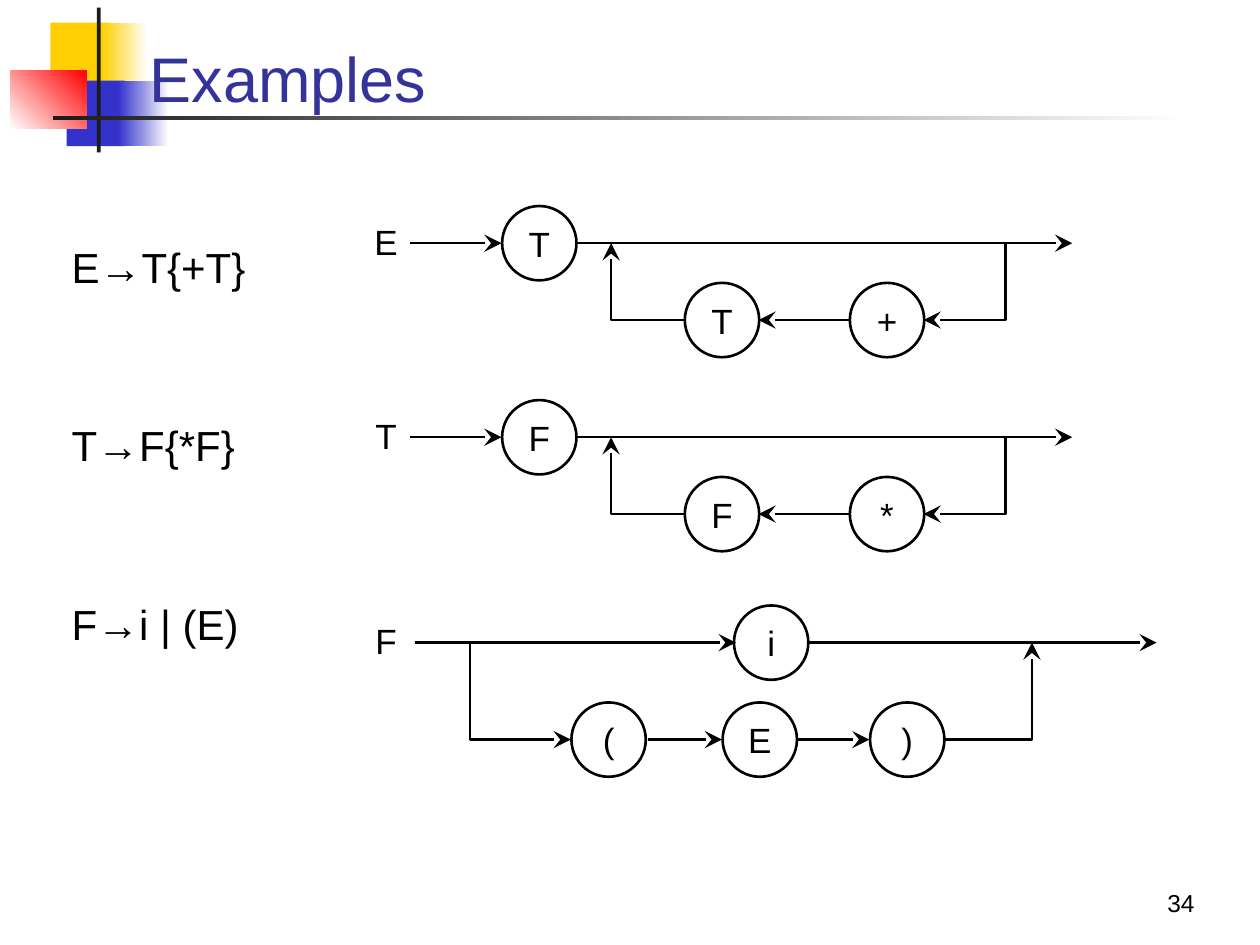
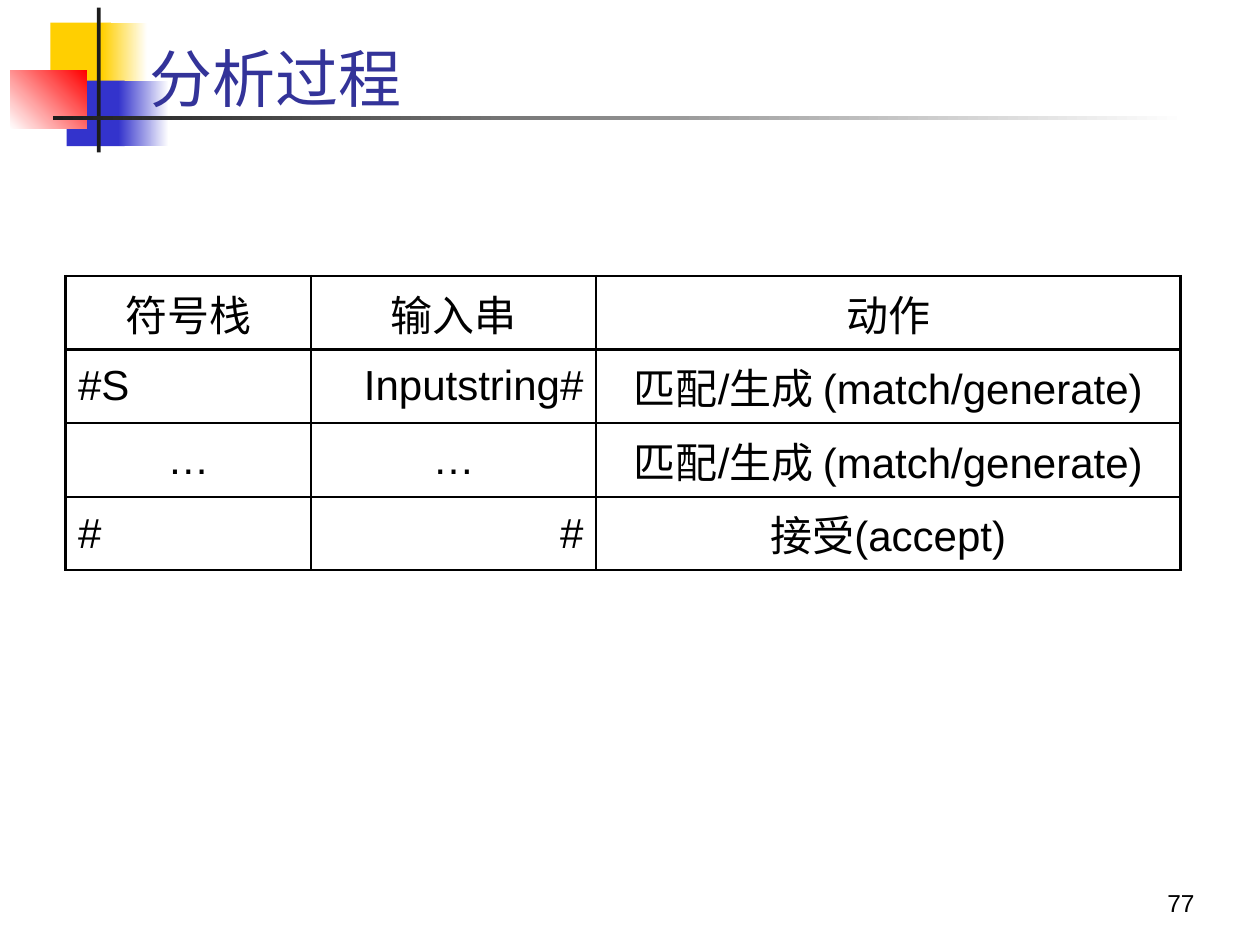
from lxml import etree
from pptx import Presentation
from pptx.dml.color import RGBColor
from pptx.enum.shapes import MSO_CONNECTOR, MSO_SHAPE
from pptx.enum.text import MSO_ANCHOR, MSO_AUTO_SIZE, PP_ALIGN
from pptx.oxml.ns import qn
from pptx.util import Inches, Pt

LEFT, CENTER, RIGHT = PP_ALIGN.LEFT, PP_ALIGN.CENTER, PP_ALIGN.RIGHT
TOP, MIDDLE, BOTTOM = MSO_ANCHOR.TOP, MSO_ANCHOR.MIDDLE, MSO_ANCHOR.BOTTOM
RECT, OVAL = MSO_SHAPE.RECTANGLE, MSO_SHAPE.OVAL
STRAIGHT = MSO_CONNECTOR.STRAIGHT

FONT = "Arial"
BLACK, WHITE, INK = "000000", "FFFFFF", "1C1C1C"
YELLOW, BLUE, RED, TITLE_BLUE = "FFCF01", "3333CC", "FF0000", "333399"
LINE_WIDTH = 1.5
NODE_SIZE = 0.59
TITLE_ONLY = 5

# Corner decoration: box, colours (two make a gradient), gradient angle
DECORATION = [
    ((0.4, 0.18, 0.48, 0.52), [YELLOW], 0),
    ((0.81, 0.18, 0.36, 0.52), [YELLOW, WHITE], 0),
    ((0.53, 0.64, 0.46, 0.52), [BLUE], 0),
    ((0.94, 0.64, 0.4, 0.52), [BLUE, WHITE], 0),
    ((0.08, 0.56, 0.61, 0.46), [WHITE, RED], 45),
    ((0.77, 0.06, 0.03, 1.15), [INK], 0),
    ((0.42, 0.92, 9, 0.03), [INK, WHITE], 0),
]

ACTION = "匹配/生成 (match/generate)"
PARSE_STEPS = [
    [("符号栈", CENTER), ("输入串", CENTER), ("动作", CENTER)],
    [("#S", LEFT), ("Inputstring#", RIGHT), (ACTION, CENTER)],
    [("…", CENTER), ("…", CENTER), (ACTION, CENTER)],
    [("#", LEFT), ("#", RIGHT), ("接受(accept)", CENTER)],
]


def color(value):
    return RGBColor.from_string(value)


def inches(values):
    return [Inches(value) for value in values]


def write(frame, text, size=20, ink=BLACK, align=LEFT, anchor=TOP, wrap=True,
          spacing=None, before=0, gap=0):
    """Fill a text frame, one paragraph a line; gap separates paragraphs."""
    frame.word_wrap = wrap
    frame.auto_size = MSO_AUTO_SIZE.NONE
    frame.vertical_anchor = anchor
    frame.text = text
    for index, paragraph in enumerate(frame.paragraphs):
        paragraph.alignment = align
        paragraph.space_before = Pt(gap if index else before)
        if spacing:
            paragraph.line_spacing = spacing
        font = paragraph.runs[0].font
        font.name, font.size = FONT, Pt(size)
        font.color.rgb = color(ink)


def text_box(shapes, box, text, **style):
    write(shapes.add_textbox(*inches(box)).text_frame, text, **style)


def set_line(shape):
    shape.line.color.rgb = color(BLACK)
    shape.line.width = Pt(LINE_WIDTH)


def add_arrowhead(shape):
    line = shape.element.spPr.find(qn("a:ln"))
    etree.SubElement(line, qn("a:tailEnd"), type="stealth", w="lg", len="lg")


# Shared slide parts
def add_decoration(slide):
    """Draw the corner blocks and rules, then keep them on the layout."""
    for box, colors, angle in DECORATION:
        block = slide.shapes.add_shape(RECT, *inches(box))
        block.shadow.inherit = False
        block.line.fill.background()
        if len(colors) == 1:
            block.fill.solid()
            block.fill.fore_color.rgb = color(colors[0])
        else:
            block.fill.gradient()
            block.fill.gradient_angle = angle
            for stop, value in zip(block.fill.gradient_stops, colors):
                stop.color.rgb = color(value)
        slide.slide_layout.shapes.element.append(block.element)


def add_slide(deck, title, number):
    slide = deck.slides.add_slide(deck.slide_layouts[TITLE_ONLY])
    heading = slide.shapes.title
    heading.left, heading.top, heading.width, heading.height = inches(
        (1.09, 0.21, 8.52, 0.76))
    write(heading.text_frame, title, size=36, ink=TITLE_BLUE, anchor=BOTTOM,
          spacing=0.85)
    text_box(slide.shapes, (7.5, 6.83, 2.08, 0.5), number, size=14,
             align=RIGHT, anchor=BOTTOM)
    return slide


# Syntax diagram parts
def add_node(shapes, x, y, symbol):
    """Draw a circled symbol centred at x, y."""
    half = NODE_SIZE / 2
    node = shapes.add_shape(
        OVAL, *inches((x - half, y - half, NODE_SIZE, NODE_SIZE)))
    node.shadow.inherit = False
    node.fill.background()
    set_line(node)
    write(node.text_frame, symbol, align=CENTER, anchor=MIDDLE, wrap=False)


def add_arrow(shapes, start, end, y):
    arrow = shapes.add_connector(STRAIGHT, *inches((start, y, end, y)))
    set_line(arrow)
    add_arrowhead(arrow)
    etree.SubElement(arrow.element.spPr, qn("a:effectLst"))


def add_bent_arrow(shapes, *points):
    start, *others = [inches(point) for point in points]
    builder = shapes.build_freeform(*start)
    builder.add_line_segments(others, close=False)
    branch = builder.convert_to_shape()
    branch.shadow.inherit = False
    branch.fill.background()
    set_line(branch)
    add_arrowhead(branch)


def add_rule_name(shapes, name, axis):
    text_box(shapes, (2.81, axis - 0.18, 0.51, 0.33), name, align=CENTER,
             anchor=MIDDLE, wrap=False)


def add_repeat_diagram(slide, name, operand, operator, axis):
    """An operand, then any number of operator and operand pairs."""
    shapes = slide.shapes.add_group_shape().shapes
    loop = axis + 0.61
    add_rule_name(shapes, name, axis)
    add_node(shapes, 4.28, axis, operand)
    add_node(shapes, 5.73, loop, operand)
    add_node(shapes, 7.04, loop, operator)
    add_arrow(shapes, 3.25, 3.98, axis)
    add_arrow(shapes, 4.58, 8.51, axis)
    add_arrow(shapes, 6.75, 6.02, loop)
    add_bent_arrow(shapes, (7.98, axis), (7.98, loop), (7.33, loop))
    add_bent_arrow(shapes, (5.44, loop), (4.85, loop), (4.85, axis))


def add_choice_diagram(slide, axis):
    """Either i, or E in parentheses."""
    shapes = slide.shapes.add_group_shape().shapes
    lower = axis + 0.77
    add_rule_name(shapes, "F", axis)
    add_node(shapes, 6.12, axis, "i")
    for x, symbol in ((4.83, "("), (6.03, "E"), (7.2, ")")):
        add_node(shapes, x, lower, symbol)
    add_arrow(shapes, 3.29, 5.84, axis)
    add_arrow(shapes, 6.41, 9.18, axis)
    add_arrow(shapes, 5.14, 5.73, lower)
    add_arrow(shapes, 6.32, 6.9, lower)
    add_bent_arrow(shapes, (3.73, axis), (3.73, lower), (4.53, lower))
    add_bent_arrow(shapes, (7.49, lower), (8.19, lower), (8.19, axis))


# Table parts
def set_borders(cell):
    properties = cell._tc.get_or_add_tcPr()
    for index, side in enumerate(("lnL", "lnR", "lnT", "lnB")):
        border = etree.Element(qn("a:" + side), w=str(Pt(LINE_WIDTH)))
        fill = etree.SubElement(border, qn("a:solidFill"))
        etree.SubElement(fill, qn("a:srgbClr"), val=BLACK)
        properties.insert(index, border)


def add_steps_table(slide, rows):
    widths, row_height = (1.95, 2.26, 4.64), 0.58
    table = slide.shapes.add_table(
        len(rows), len(widths),
        *inches((0.52, 2.19, sum(widths), row_height * len(rows)))).table
    table.first_row = table.horz_banding = False
    for column, width in zip(table.columns, widths):
        column.width = Inches(width)
    for row, entries in zip(table.rows, rows):
        row.height = Inches(row_height)
        for cell, (text, align) in zip(row.cells, entries):
            write(cell.text_frame, text, size=24, align=align)
            cell.vertical_anchor = MIDDLE
            cell.fill.background()
            set_borders(cell)


def main():
    deck = Presentation()
    deck.slide_width, deck.slide_height = inches((10, 7.5))

    # Grammar rules and their syntax diagrams
    examples = add_slide(deck, "Examples", "34")
    add_decoration(examples)
    add_repeat_diagram(examples, "E", "T", "+", 1.93)
    add_repeat_diagram(examples, "T", "F", "*", 3.47)
    add_choice_diagram(examples, 5.1)
    text_box(examples.shapes, (0.47, 1.87, 2.27, 4.58),
             "E→T{+T}\nT→F{*F}\nF→i | (E)", size=24, before=6, gap=73)

    # Parsing steps
    parsing = add_slide(deck, "分析过程", "77")
    add_steps_table(parsing, PARSE_STEPS)

    deck.save("out.pptx")


main()
